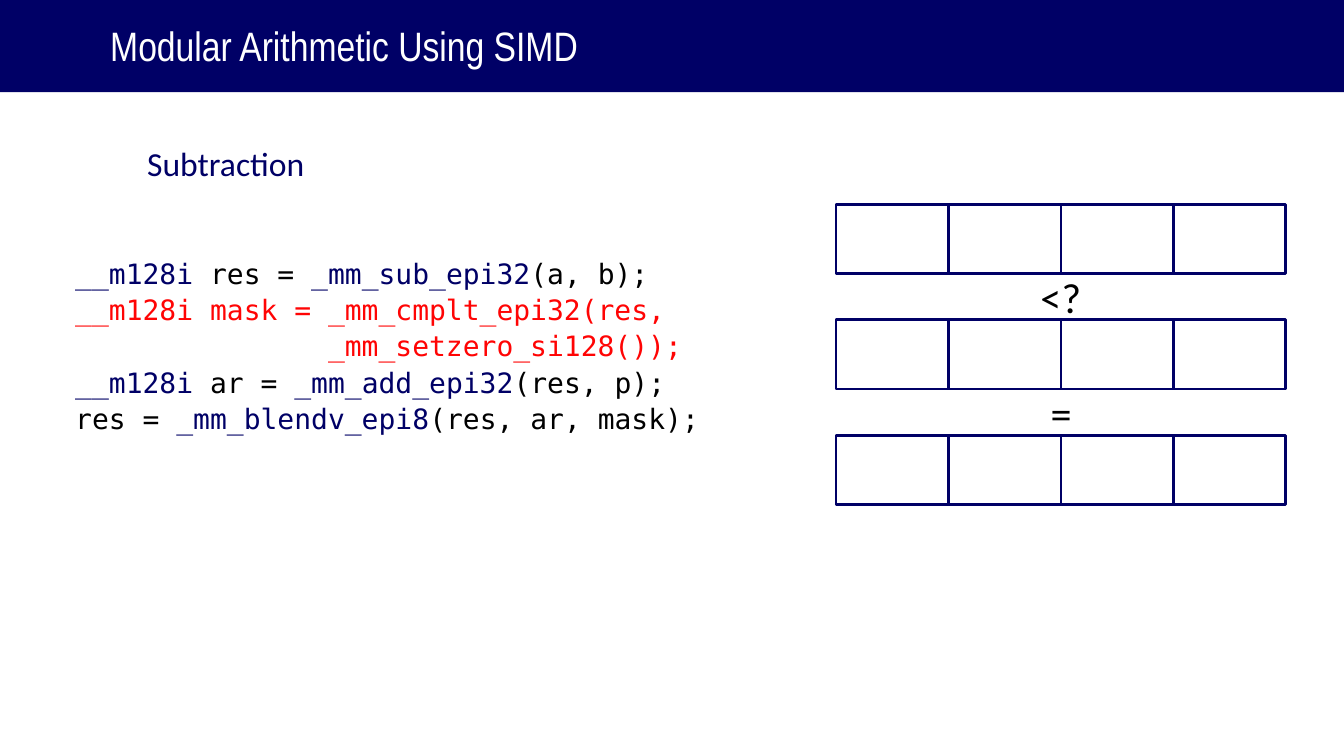
from pptx import Presentation
from pptx.dml.color import RGBColor
from pptx.enum.shapes import MSO_SHAPE as Shape
from pptx.enum.text import MSO_AUTO_SIZE as AutoSize, PP_ALIGN as Align
from pptx.util import Inches, Pt

NAVY, RED, BLACK, WHITE = "000066", "FF0404", "000000", "FFFFFF"

CODE = [
    [("__m128i", NAVY), (" res = ", BLACK), ("_mm_sub_epi32", NAVY), ("(a, b);", BLACK)],
    [("__m128i mask = _mm_cmplt_epi32(res,", RED)],
    [("               _mm_setzero_si128());", RED)],
    [("__m128i", NAVY), (" ar = ", BLACK), ("_mm_add_epi32", NAVY), ("(res, p);", BLACK)],
    [("res = ", BLACK), ("_mm_blendv_epi8", NAVY), ("(res, ar, mask);", BLACK)],
]


def color(value):
    return RGBColor.from_string(value)


class SlideBuilder:
    """Draws styled elements on the current slide."""

    styles = {
        "title": {"name": "Arial Narrow", "size": Pt(44)},
        "heading": {"name": "Calibri", "size": Pt(36)},
        "code": {"name": "DejaVu Sans Mono", "size": Pt(30)},
        "operator": {"name": "Calibri", "size": Pt(45.2)},
    }
    spacing = {"title": 47.5, "heading": 43.2, "code": 39, "operator": 58.7}

    def __init__(self, page):
        self.page = page

    def text(self, left, top, width, height, lines, style, align=Align.LEFT):
        box = self.page.shapes.add_textbox(
            Inches(left), Inches(top), Inches(width), Inches(height))
        frame = box.text_frame
        layout = {"margin_left": 0, "margin_top": 0, "margin_right": 0,
                  "margin_bottom": 0, "word_wrap": True,
                  "auto_size": AutoSize.SHAPE_TO_FIT_TEXT}
        for name, value in layout.items():
            setattr(frame, name, value)
        for index, line in enumerate(lines):
            para = frame.add_paragraph() if index else frame.paragraphs[0]
            para.alignment = align
            para.line_spacing = Pt(self.spacing[style])
            for words, ink in line:
                span = para.add_run()
                span.text = words
                for name, value in self.styles[style].items():
                    setattr(span.font, name, value)
                span.font.color.rgb = color(ink)

    def rectangle(self, left, top, width, height, fill=None, line=None):
        box = self.page.shapes.add_shape(
            Shape.RECTANGLE, Inches(left), Inches(top), Inches(width), Inches(height))
        box.shadow.inherit = False
        if fill:
            box.fill.solid()
            box.fill.fore_color.rgb = color(fill)
        else:
            box.fill.background()
        if line:
            box.line.color.rgb = color(line)
            box.line.width = Pt(3)
        else:
            box.line.fill.background()

    def register(self, left, top, lanes=4, width=1.674, height=1.03):
        for lane in range(lanes):
            self.rectangle(left + lane * width, top, width, height, line=NAVY)


def main():
    deck = Presentation()
    deck.slide_width, deck.slide_height = Inches(20), Inches(11.25)
    slide = SlideBuilder(deck.slides.add_slide(deck.slide_layouts[6]))

    slide.text(1.12, 3.77, 11.23, 2.71, CODE, "code")
    for row in range(3):
        slide.register(12.44, 3.04 + row * 1.72)
    slide.text(15.44, 3.98, 0.69, 0.78, [[("<?", BLACK)]], "operator", Align.CENTER)
    slide.text(15.63, 5.7, 0.32, 0.78, [[("=", BLACK)]], "operator", Align.CENTER)
    slide.text(2.19, 2.12, 4.1, 0.59, [[("Subtraction", NAVY)]], "heading")
    slide.rectangle(0, 0, 20, 1.37, fill=NAVY)
    slide.text(1.64, 0.37, 10.12, 0.68,
               [[("Modular Arithmetic Using SIMD", WHITE)]], "title")
    deck.save("out.pptx")


if __name__ == "__main__":
    main()
